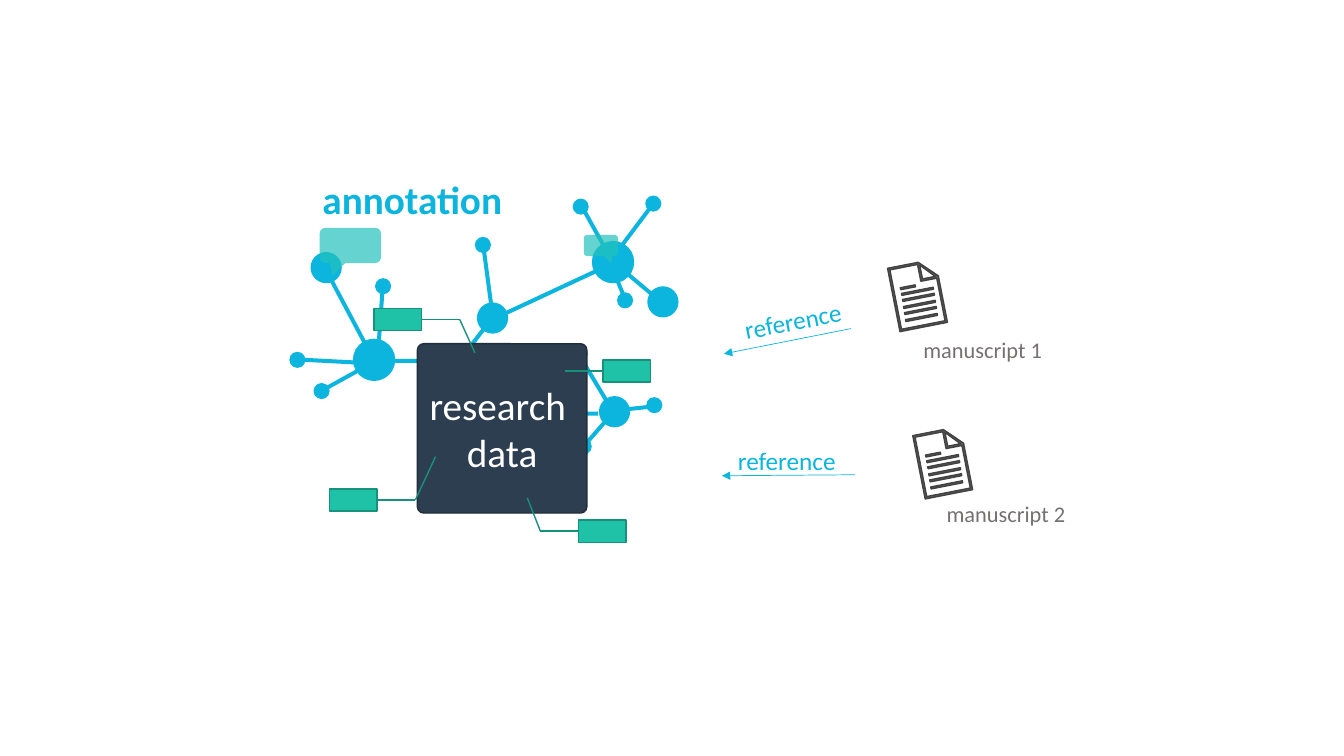
import typing

import lxml.etree
import pptx
import pptx.dml.color
import pptx.enum.shapes
import pptx.enum.text
import pptx.oxml.ns
import pptx.shapes.autoshape
import pptx.shapes.connector
import pptx.shapes.shapetree
import pptx.util

EMU_PER_PX = 9144
FONT = "Calibri"
CYAN, TEAL, GREEN, GREEN_EDGE = "0BB5DD", "24C2BD", "1FC2A7", "17907C"
NAVY, NAVY_EDGE, WHITE = "2D3E50", "212E3B", "FFFFFF"
INK, INK_EDGE, GRAY = "595959", "424242", "767171"
PAGE_TILT = 348.9
LEFT_SITE, RIGHT_SITE = 1, 3

Kind = pptx.enum.shapes.MSO_SHAPE
Shape = pptx.shapes.autoshape.Shape
Connector = pptx.shapes.connector.Connector
Shapes = typing.Union[pptx.shapes.shapetree.SlideShapes, pptx.shapes.shapetree.GroupShapes]
Point = tuple[int, int]


class Box(typing.NamedTuple):
    left: int
    top: int
    width: int
    height: int


class Edge(typing.NamedTuple):
    left: int
    top: int
    length: int
    rotation: float


class Callout(typing.NamedTuple):
    box: Box
    tip: float


class Label(typing.NamedTuple):
    text: str
    box: Box
    size: int
    color: str
    bold: bool = False
    rotation: float = 0


class Tag(typing.NamedTuple):
    left: int
    top: int
    direction: int
    target: Point | None = None


class Manuscript(typing.NamedTuple):
    left: int
    top: int
    label: Label


NODES: dict[int, list[Point]] = {
    42: [(587, 239), (350, 336)],
    31: [(473, 300), (594, 393), (642, 284), (308, 250)],
    16: [(471, 235), (568, 197), (640, 194), (612, 290), (567, 343),
         (641, 394), (571, 435), (311, 380), (287, 349), (372, 276)],
}
EDGES = [
    Edge(348, 265, 106, 332), Edge(375, 279, 86, 4.1), Edge(408, 315, 86, 90),
    Edge(548, 368, 86, 89), Edge(542, 239, 104, 65), Edge(482, 244, 69, 352.4),
    Edge(588, 202, 52, 331), Edge(469, 312, 52, 37.5), Edge(589, 354, 52, 329),
    Edge(628, 200, 52, 37), Edge(595, 396, 52, 41), Edge(340, 349, 52, 61),
    Edge(338, 316, 86, 93), Edge(625, 241, 69, 310), Edge(624, 388, 35, 264),
    Edge(613, 267, 35, 337.7),
]
CALLOUTS = [Callout(Box(317, 226, 61, 35), -0.294), Callout(Box(579, 233, 34, 21), 0.294)]
MANUSCRIPTS = [
    Manuscript(886, 261, Label("manuscript 1", Box(906, 329, 139, 37), 16, GRAY)),
    Manuscript(911, 427, Label("manuscript 2", Box(929, 491, 139, 37), 16, GRAY)),
]
PAGE_OUTLINES: list[list[Point]] = [
    [(0, 0), (0, 64), (48, 64), (48, 17), (31, 0)],
    [(32, 3), (45, 17), (32, 17)],
    [(2, 62), (2, 2), (30, 2), (30, 19), (46, 19), (46, 62)],
]
TEXT_BARS = [Box(7, 23, 15, 2)] + [Box(8 + row, 27 + 13 * row // 2, 32, 2) for row in range(5)]
REFERENCE_ARROWS = [((844, 326), (718, 351)), ((848, 471), (716, 472))]
LABELS = [
    Label("reference", Box(728, 298, 118, 40), 18, CYAN, rotation=349.1),
    Label("reference", Box(722, 437, 118, 40), 18, CYAN),
    Label("annotation", Box(310, 169, 201, 57), 28, CYAN, bold=True),
]
TAG_WIDTH, TAG_HEIGHT, TAG_SHELF = 47, 22, 38
TAGS = [
    Tag(598, 357, -1),
    Tag(327, 485, 1, (432, 453)),
    Tag(574, 516, -1, (523, 494)),
    Tag(371, 306, 1, (471, 350)),
]


def px(value: int) -> int:
    return value * EMU_PER_PX


def rgb(color: str) -> pptx.dml.color.RGBColor:
    return pptx.dml.color.RGBColor.from_string(color)


def set_attributes(target: typing.Any, values: dict[str, typing.Any]) -> None:
    for name, value in values.items():
        setattr(target, name, value)


def paint(shape: Shape, fill: str, line: str | None = None) -> None:
    shape.shadow.inherit = False
    shape.fill.solid()
    shape.fill.fore_color.rgb = rgb(fill)
    if line is None:
        shape.line.fill.background()
    else:
        shape.line.color.rgb = rgb(line)
        shape.line.width = pptx.util.Pt(1)


def add_preset(shapes: Shapes, kind: Kind, box: Box, fill: str,
               line: str | None = None, rotation: float = 0) -> Shape:
    shape = shapes.add_shape(kind, *map(px, box))
    shape.rotation = rotation
    paint(shape, fill, line)
    return shape


def add_line(shapes: Shapes, start: Point, end: Point, color: str,
             width: float, arrow: bool = False) -> Connector:
    straight = pptx.enum.shapes.MSO_CONNECTOR.STRAIGHT
    connector = shapes.add_connector(straight, *map(px, start + end))
    connector.line.color.rgb = rgb(color)
    connector.line.width = pptx.util.Pt(width)
    properties = connector.element.spPr
    if arrow:
        outline = properties.find(pptx.oxml.ns.qn("a:ln"))
        lxml.etree.SubElement(outline, pptx.oxml.ns.qn("a:tailEnd"), type="triangle")
    lxml.etree.SubElement(properties, pptx.oxml.ns.qn("a:effectLst"))
    return connector


def set_font(paragraph: typing.Any, size: int, color: str, bold: bool = False) -> None:
    values = {"name": FONT, "size": pptx.util.Pt(size), "bold": bold}
    set_attributes(paragraph.font, values)
    paragraph.font.color.rgb = rgb(color)


def add_label(shapes: Shapes, label: Label) -> None:
    text_box = shapes.add_textbox(*map(px, label.box))
    text_box.rotation = label.rotation
    frame = text_box.text_frame
    frame.text = label.text
    set_attributes(frame, {"word_wrap": False,
                           "auto_size": pptx.enum.text.MSO_AUTO_SIZE.SHAPE_TO_FIT_TEXT})
    set_font(frame.paragraphs[0], label.size, label.color, label.bold)


def add_callout(shapes: Shapes, callout: Callout) -> None:
    bubble = add_preset(shapes, Kind.ROUNDED_RECTANGULAR_CALLOUT, callout.box, TEAL)
    for index, value in enumerate((callout.tip, 0.859, 0.167)):
        bubble.adjustments[index] = value
    color = bubble.element.spPr.find(".//" + pptx.oxml.ns.qn("a:srgbClr"))
    lxml.etree.SubElement(color, pptx.oxml.ns.qn("a:alpha"), val="70000")


def add_research_data(shapes: Shapes) -> None:
    block = add_preset(shapes, Kind.ROUNDED_RECTANGLE, Box(414, 341, 168, 168), NAVY, NAVY_EDGE)
    block.adjustments[0] = 0.036
    frame = block.text_frame
    frame.text = "research \vdata"
    set_attributes(frame, {"margin_left": 0, "margin_right": 0, "word_wrap": True,
                           "vertical_anchor": pptx.enum.text.MSO_ANCHOR.MIDDLE})
    frame.paragraphs[0].alignment = pptx.enum.text.PP_ALIGN.CENTER
    set_font(frame.paragraphs[0], 28, WHITE)


def add_network(shapes: Shapes) -> None:
    for size, corners in NODES.items():
        for left, top in corners:
            add_preset(shapes, Kind.OVAL, Box(left, top, size, size), CYAN)
    for edge in EDGES:
        box = Box(edge.left, edge.top, 4, edge.length)
        add_preset(shapes, Kind.RECTANGLE, box, CYAN, rotation=edge.rotation)
    for callout in CALLOUTS:
        add_callout(shapes, callout)
    add_research_data(shapes)


def add_manuscript(shapes: Shapes, manuscript: Manuscript) -> None:
    left, top, label = manuscript
    for bar in TEXT_BARS:
        box = bar._replace(left=left + bar.left, top=top + bar.top)
        add_preset(shapes, Kind.RECTANGLE, box, INK, INK_EDGE, PAGE_TILT)
    builder = shapes.build_freeform(*PAGE_OUTLINES[0][0], scale=EMU_PER_PX)
    for outline in PAGE_OUTLINES:
        builder.move_to(*outline[0])
        builder.add_line_segments(outline[1:], close=True)
    page = builder.convert_to_shape(px(left), px(top))
    page.rotation = PAGE_TILT
    paint(page, INK, INK_EDGE)
    add_label(shapes, label)


def add_tag(shapes: Shapes, tag: Tag) -> None:
    """Draw a tag with a level leader and, if it has a target, a slanted one."""
    box = Box(tag.left, tag.top, TAG_WIDTH, TAG_HEIGHT)
    rectangle = add_preset(shapes, Kind.RECTANGLE, box, GREEN, GREEN_EDGE)
    side, site = (tag.left, LEFT_SITE) if tag.direction < 0 else (tag.left + TAG_WIDTH, RIGHT_SITE)
    middle = tag.top + TAG_HEIGHT // 2
    bend = (side + tag.direction * TAG_SHELF, middle)
    shelf = add_line(shapes, (side, middle), bend, GREEN_EDGE, 1)
    shelf.begin_connect(rectangle, site)
    if tag.target is not None:
        add_line(shapes, bend, tag.target, GREEN_EDGE, 1)


def main() -> None:
    presentation = pptx.Presentation()
    set_attributes(presentation, {"slide_width": px(1333), "slide_height": px(750)})
    shapes = presentation.slides.add_slide(presentation.slide_layouts[6]).shapes
    add_network(shapes.add_group_shape().shapes)
    for manuscript in MANUSCRIPTS:
        add_manuscript(shapes.add_group_shape().shapes, manuscript)
    for start, end in REFERENCE_ARROWS:
        add_line(shapes, start, end, CYAN, 0.5, arrow=True)
    for label in LABELS:
        add_label(shapes, label)
    for tag in TAGS:
        add_tag(shapes.add_group_shape().shapes, tag)
    presentation.save("out.pptx")


if __name__ == "__main__":
    main()
